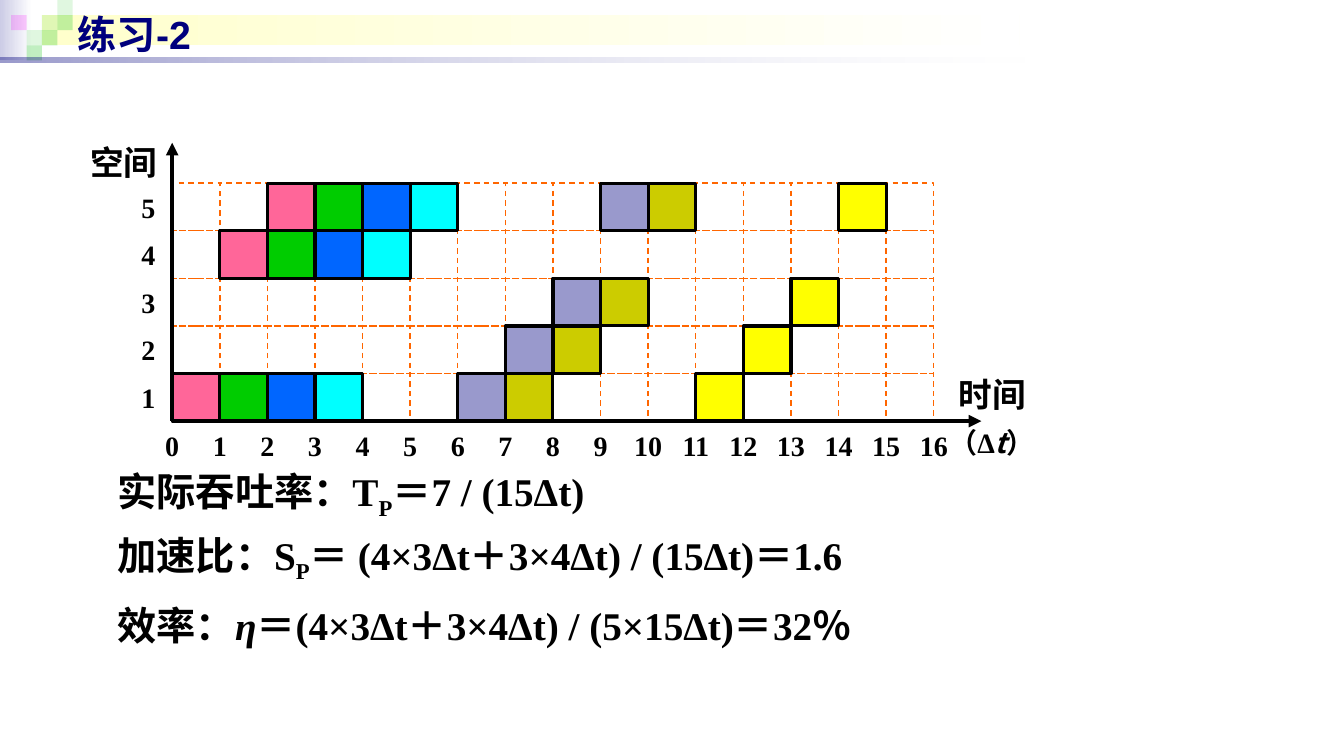
from dataclasses import dataclass

from lxml.etree import SubElement
from pptx import Presentation
from pptx.dml.color import RGBColor
from pptx.enum.dml import MSO_LINE
from pptx.enum.shapes import MSO_CONNECTOR, MSO_SHAPE
from pptx.enum.text import MSO_ANCHOR, MSO_AUTO_SIZE, PP_ALIGN
from pptx.oxml.ns import qn
from pptx.util import Pt


@dataclass(frozen=True)
class Theme:
    latin: str = "Times New Roman"
    heading: str = "Arial"
    chinese: str = "Noto Sans CJK SC"
    ink: str = "000000"
    navy: str = "00007D"
    paper: str = "FFFFFF"
    lavender: str = "CCCCE6"
    cream: str = "FFFFCC"
    green: str = "33CC33"
    magenta: str = "FF00FF"
    grid: str = "FF6600"
    tasks: tuple = ("FF6699", "00CC00", "0066FF", "00FFFF", "9999CC", "CCCC00", "FFFF00")
    large: int = 28
    axis: int = 24
    small: int = 20
    thin: float = 1
    border: float = 2.25
    thick: float = 3


class SlidePainter:
    def __init__(self, slide, theme):
        self.slide = slide
        self.theme = theme

    def apply(self, target, formats):
        for name, value in formats.items():
            setattr(target, name, value)

    def paint(self, color, rgb, holder, opacity=100):
        color.rgb = RGBColor.from_string(rgb)
        if opacity < 100:
            for swatch in holder.iter(qn("a:srgbClr")):
                if swatch.get("val") == rgb:
                    SubElement(swatch, qn("a:alpha"), val=str(opacity * 1000))

    def box(self, left, top, width, height, fill=None, opacity=100, line=None, weight=1, dash=None):
        shape = self.slide.shapes.add_shape(
            MSO_SHAPE.RECTANGLE, Pt(left), Pt(top), Pt(width), Pt(height))
        shape.shadow.inherit = False
        if fill:
            shape.fill.solid()
            self.paint(shape.fill.fore_color, fill, shape._element.spPr, opacity)
        else:
            shape.fill.background()
        if line:
            shape.line.color.rgb = RGBColor.from_string(line)
            self.apply(shape.line, {"width": Pt(weight), "dash_style": dash})
        else:
            shape.line.fill.background()
        return shape

    def fade(self, left, top, width, height, start, opacities=(100, 100)):
        shape = self.box(left, top, width, height)
        shape.fill.gradient()
        shape.fill.gradient_angle = 0
        ends = zip(shape.fill.gradient_stops, (start, self.theme.paper), opacities)
        for stop, rgb, opacity in ends:
            self.paint(stop.color, rgb, shape._element.spPr, opacity)

    def arrow(self, x1, y1, x2, y2):
        axis = self.slide.shapes.add_connector(
            MSO_CONNECTOR.STRAIGHT, Pt(x1), Pt(y1), Pt(x2), Pt(y2))
        axis.line.color.rgb = RGBColor.from_string(self.theme.ink)
        axis.line.width = Pt(self.theme.thick)
        SubElement(axis.line._get_or_add_ln(), qn("a:tailEnd"), type="triangle")
        SubElement(axis._element.spPr, qn("a:effectLst"))

    def typeset(self, shape, paragraphs, size, color=None, font=None, anchor=MSO_ANCHOR.TOP,
                wrap=True, **layout):
        frame = shape.text_frame
        self.apply(frame, {
            "margin_left": 0, "margin_right": 0, "margin_top": 0, "margin_bottom": 0,
            "auto_size": MSO_AUTO_SIZE.NONE, "vertical_anchor": anchor, "word_wrap": wrap})
        for index, runs in enumerate(paragraphs):
            paragraph = frame.add_paragraph() if index else frame.paragraphs[0]
            self.apply(paragraph, {"space_before": Pt(0), **layout})
            properties = paragraph._p.get_or_add_pPr()
            properties.set("marL", "0")
            properties.set("indent", "0")
            SubElement(properties, qn("a:buNone"))
            for text, *changes in runs:
                run = paragraph.add_run()
                run.text = text
                formats = {"name": font or self.theme.latin, "size": Pt(size),
                           "bold": True, "italic": False}
                extra = dict(changes[0]) if changes else {}
                baseline = extra.pop("baseline", None)
                self.apply(run.font, {**formats, **extra})
                run.font.color.rgb = RGBColor.from_string(color or self.theme.ink)
                SubElement(run.font._element, qn("a:ea"), typeface=self.theme.chinese)
                if baseline:
                    run.font._element.set("baseline", str(baseline * 1000))

    def label(self, left, top, width, height, paragraphs, size, **layout):
        textbox = self.slide.shapes.add_textbox(Pt(left), Pt(top), Pt(width), Pt(height))
        self.typeset(textbox, paragraphs, size, alignment=PP_ALIGN.CENTER, **layout)

    def place(self, placeholder, left, top, width, height):
        self.apply(placeholder, {"left": Pt(left), "top": Pt(top),
                                 "width": Pt(width), "height": Pt(height)})
        self.slide.shapes._spTree.append(placeholder._element)


def draw_backdrop(painter):
    theme = painter.theme
    painter.fade(0, 0, 23, 43.2, theme.lavender)
    painter.fade(30, 10.8, 698.4, 21.6, theme.cream)
    mosaic = [(2, 1, theme.green, 15), (3, 0, theme.green, 15), (3, 1, theme.green, 30),
              (1, 2, theme.green, 15), (0, 1, theme.magenta, 20), (2, 2, theme.green, 30),
              (1, 3, theme.green, 30)]
    for column, row, color, opacity in mosaic:
        painter.box(8 + 11 * column, 10.8 * row, 11, 10.8, color, opacity)
    painter.fade(0, 41, 731.5, 4, theme.navy, (40, 10))


def draw_pipeline(painter):
    theme = painter.theme
    origin_x, origin_y, cell = 123, 300.8, 34
    stages, periods = 5, 16
    addition, multiplication = (1, 4, 5), (1, 2, 3, 5)
    starts = (0, 1, 2, 3, 6, 7, 11)
    routes = [addition] * 4 + [multiplication] * 3
    busy = {(start + step, stage): color
            for start, route, color in zip(starts, routes, theme.tasks)
            for step, stage in enumerate(route)}

    def corner(period, stage):
        return origin_x + cell * period, origin_y - cell * stage

    for stage in range(1, stages + 1):
        for period in range(periods):
            if (period, stage) not in busy:
                painter.box(*corner(period, stage), cell, cell, line=theme.grid,
                            weight=theme.thin, dash=MSO_LINE.DASH)
    for slot, color in busy.items():
        painter.box(*corner(*slot), cell, cell, color, line=theme.ink, weight=theme.border)

    painter.arrow(origin_x, origin_y, 701, origin_y)
    painter.arrow(origin_x, origin_y, origin_x, 102)
    ticks = [(corner(period - 0.5, 0), period) for period in range(periods + 1)]
    ticks += [(corner(-1, stage), stage) for stage in range(1, stages + 1)]
    for position, number in ticks:
        painter.label(*position, cell, cell, [[(str(number),)]], theme.small,
                      anchor=MSO_ANCHOR.MIDDLE, wrap=False)

    unit = {"size": Pt(theme.small)}
    time_unit = [("（Δ", unit), ("t", {**unit, "name": theme.chinese, "italic": True}),
                 ("）", unit)]
    painter.label(664.6, 264.2, 88, 72, [[("时间",)], time_unit], theme.axis,
                  line_spacing=Pt(32))
    painter.label(52, 100, 73, 36, [[("空间",)]], theme.axis, line_spacing=Pt(30.5))


def main():
    presentation = Presentation()
    presentation.slide_width, presentation.slide_height = Pt(960), Pt(540)
    slide = presentation.slides.add_slide(presentation.slide_layouts[1])
    theme = Theme()
    painter = SlidePainter(slide, theme)
    heading, results = slide.placeholders

    draw_backdrop(painter)
    painter.place(heading, 55.5, 3.6, 870, 41)
    painter.typeset(heading, [[("练习-2",)]], theme.large, theme.navy, theme.heading,
                    MSO_ANCHOR.MIDDLE, alignment=PP_ALIGN.LEFT)
    painter.place(results, 84, 326.5, 634, 144)
    subscript = {"baseline": -25}
    painter.typeset(results, [
        [("实际吞吐率：T",), ("P", subscript), ("＝7 / (15Δt)",)],
        [("加速比：S",), ("P", subscript), ("＝ (4×3Δt＋3×4Δt) / (15Δt)＝1.6",)],
        [("效率：",), ("η", {"italic": True}), ("＝(4×3Δt＋3×4Δt) / (5×15Δt)＝32％",)],
    ], theme.large, alignment=PP_ALIGN.LEFT, line_spacing=Pt(45.5))
    draw_pipeline(painter)
    presentation.save("out.pptx")


if __name__ == "__main__":
    main()
